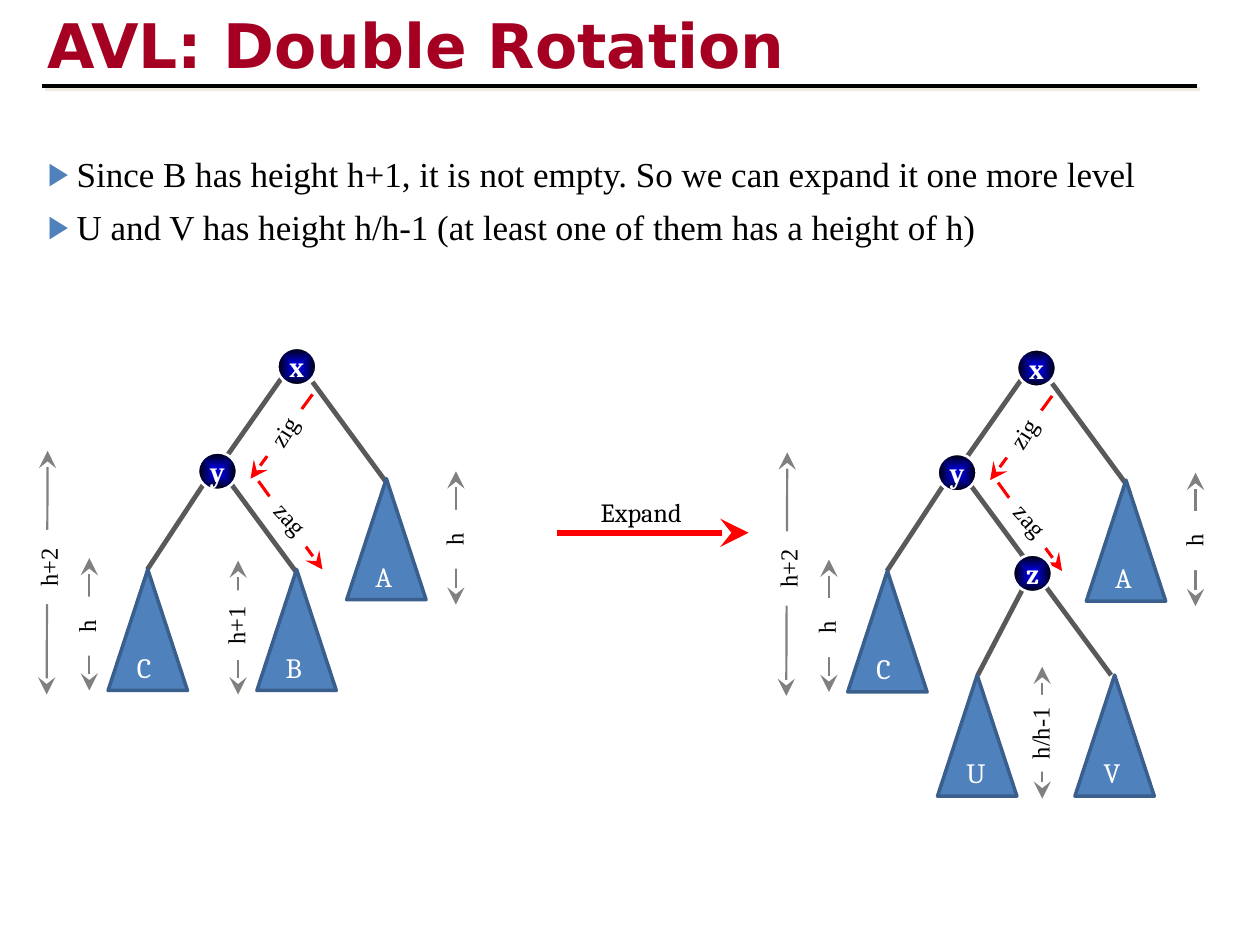
from pptx import Presentation
from pptx.dml.color import RGBColor
from pptx.enum import shapes, text
from pptx.oxml import parse_xml
from pptx.oxml.ns import nsdecls, qn
from pptx.util import Cm, Pt

TITLE = "AVL: Double Rotation"
BULLETS = [
    "Since B has height h+1, it is not empty. So we can expand it one more level",
    "U and V has height h/h-1 (at least one of them has a height of h)",
]

# All lengths are in centimetres.
NODE = (0.79, 0.76)
TRIANGLE = (1.6, 2.44)
SHIFT = (14.91, 0.03)  # from the left tree to the right tree

# edges: x1, y1, x2, y2; nodes and subtrees: name, left, top
# spans: x1, y1, x2, y2, label, label centre x, y
COMMON = {
    "edges": [(7.77, 9.7, 6.3, 7.7), (5.97, 11.53, 4.47, 9.5),
              (4.52, 9.27, 5.77, 7.49), (2.97, 11.48, 4.09, 9.78)],
    "nodes": [("x", 5.59, 7.01), ("y", 3.99, 9.12)],
    "subtrees": [("C", 2.18, 11.48), ("A", 6.99, 9.65)],
    "spans": [(9.19, 9.5, 9.19, 12.19, "h", 9.16, 10.87),
              (0.96, 9.09, 0.94, 14, "h+2", 0.98, 11.43),
              (1.8, 11.25, 1.8, 13.92, "h", 1.75, 12.62)],
    "turns": [(6.3, 7.95, 5.05, 9.65, "zig", 5.72, 8.71),
              (5.21, 9.7, 6.5, 11.48, "zag", 5.86, 10.46)],
}
LEFT_ONLY = {
    "subtrees": [("B", 5.18, 11.48)],
    "spans": [(4.8, 11.3, 4.8, 14, "h+1", 4.76, 12.6)],
}
RIGHT_ONLY = {
    "edges": [(22.4, 13.61, 20.9, 11.58), (19.71, 13.61, 20.78, 11.56)],
    "nodes": [("z", 20.42, 11.18)],
    "subtrees": [("U", 18.9, 13.61), ("V", 21.67, 13.61)],
    "spans": [(21.01, 13.44, 21.01, 16.1, "h/h-1", 20.97, 14.78)],
}
LABEL_WIDTH = {"h": 1.19, "h+2": 1.5, "h+1": 1.4, "h/h-1": 1.55,
               "zig": 1.17, "zag": 1.24}
TURN_ANGLE = {"zig": 302.7, "zag": 47.9}

SERIF = "Times New Roman"
LABEL = dict(name=SERIF, size=Pt(14))
NAME = dict(name="Cambria", size=Pt(16))

prs = Presentation()
prs.slide_width, prs.slide_height = Cm(25.4), Cm(19.05)
s = prs.slides.add_slide(prs.slide_layouts[1])


def rgb(value):
    return RGBColor.from_string(value)


def box(*lengths):
    return [Cm(v) for v in lengths]


def drop_shadow():
    return parse_xml(
        f'<a:effectLst {nsdecls("a")}><a:outerShdw dist="35921" dir="2700000">'
        '<a:srgbClr val="EEECE1"/></a:outerShdw></a:effectLst>')


def write(p, words, color="000000", align=None, **font):
    r = p.add_run()
    r.text = words
    for key, value in font.items():
        setattr(r.font, key, value)
    r.font.color.rgb = rgb(color)
    p.alignment = align
    return r


def set_frame(sp, **values):
    for key, value in values.items():
        setattr(sp.text_frame, key, value)
    return sp.text_frame.paragraphs[0]


def line(x1, y1, x2, y2, color, width, ends=(), shadow=False):
    c = s.shapes.add_connector(shapes.MSO_CONNECTOR.STRAIGHT,
                               *box(x1, y1, x2, y2))
    c.line.color.rgb = rgb(color)
    c.line.width = Pt(width)
    for end in ends:
        c.line._get_or_add_ln().append(parse_xml(
            f'<a:{end} {nsdecls("a")} type="stealth" w="lg" len="lg"/>'))
    c._element.spPr.append(
        drop_shadow() if shadow
        else parse_xml(f'<a:effectLst {nsdecls("a")}/>'))


def shape(kind, *lengths, fill, outline=None, width=0):
    sp = s.shapes.add_shape(kind, *box(*lengths))
    sp.shadow.inherit = False
    sp.fill.solid()
    sp.fill.fore_color.rgb = rgb(fill)
    if outline:
        sp.line.color.rgb = rgb(outline)
        sp.line.width = Pt(width)
    else:
        sp.line.fill.background()
    return sp


def node(name, x, y):
    sp = shape(shapes.MSO_SHAPE.OVAL, x, y, *NODE,
               fill="0000CC", outline="FFFFFF", width=1.5)
    stops = "".join(
        f'<a:gs pos="{pos}000"><a:srgbClr val="{color}"/></a:gs>'
        for pos, color in [(0, "0000CC"), (21, "0000CC"), (100, "000000")])
    solid = sp._element.spPr.find(qn("a:solidFill"))
    solid.getparent().replace(solid, parse_xml(
        f'<a:gradFill {nsdecls("a")}><a:gsLst>{stops}</a:gsLst>'
        '<a:path path="shape"><a:fillToRect l="50000" t="50000" '
        'r="50000" b="50000"/></a:path></a:gradFill>'))
    p = set_frame(sp, word_wrap=False, vertical_anchor=text.MSO_ANCHOR.MIDDLE)
    write(p, name, "FFFFFF", text.PP_ALIGN.CENTER, bold=True, **NAME)


def caption(words, *lengths, color="000000", **font):
    sp = s.shapes.add_textbox(*box(*lengths))
    write(set_frame(sp, word_wrap=True), words, color, **font)


def subtree(name, x, y):
    shape(shapes.MSO_SHAPE.ISOSCELES_TRIANGLE, x, y, *TRIANGLE,
          fill="4F81BD", outline="3A5F8C", width=2)
    caption(name, x + 0.33, y + 1.5, 1.3, 0.94, color="FFFFFF", **NAME)


def labelled_arrow(ends, words, cx, cy, color, width, heads, angle):
    """Arrow interrupted by a white label turned along it."""
    line(*ends, color, width, heads)
    w, h = LABEL_WIDTH[words], 0.86
    sp = shape(shapes.MSO_SHAPE.RECTANGLE, cx - w / 2, cy - h / 2, w, h,
               fill="FFFFFF")
    sp.rotation = angle
    p = set_frame(sp, word_wrap=False, vertical_anchor=text.MSO_ANCHOR.TOP)
    write(p, words, align=text.PP_ALIGN.CENTER, **LABEL)


def tree(parts, dx=0, dy=0):
    for x1, y1, x2, y2 in parts.get("edges", []):
        line(x1 + dx, y1 + dy, x2 + dx, y2 + dy, "595959", 2.75)
    for draw, key in [(node, "nodes"), (subtree, "subtrees")]:
        for name, x, y in parts.get(key, []):
            draw(name, x + dx, y + dy)
    for key, color, width, heads in [
            ("spans", "808080", 1.25, ("headEnd", "tailEnd")),
            ("turns", "FF0000", 1.75, ("tailEnd",))]:
        for x1, y1, x2, y2, words, cx, cy in parts.get(key, []):
            labelled_arrow((x1 + dx, y1 + dy, x2 + dx, y2 + dy), words,
                           cx + dx, cy + dy, color, width, heads,
                           TURN_ANGLE.get(words, 270))


def place(sp, *lengths):
    sp.left, sp.top, sp.width, sp.height = box(*lengths)


title, body = s.placeholders
place(title, 0.71, 0.03, 21.59, 1.7)
p = set_frame(title, word_wrap=True, auto_size=text.MSO_AUTO_SIZE.NONE,
              vertical_anchor=text.MSO_ANCHOR.MIDDLE)
r = write(p, TITLE, "A50021", text.PP_ALIGN.LEFT,
          name="DejaVu Sans", size=Pt(35.1), bold=True)
r.font._element.find(qn("a:solidFill")).addnext(drop_shadow())
line(0.84, 1.73, 24.13, 1.73, "000000", 2.25, shadow=True)

place(body, 0.71, 2.95, 23.9, 2.18)
p = set_frame(body, word_wrap=True, auto_size=text.MSO_AUTO_SIZE.NONE)
for i, words in enumerate(BULLETS):
    p = p if i == 0 else body.text_frame.add_paragraph()
    write(p, words, name=SERIF, size=Pt(20))
    p.space_before = Pt(6)
    pPr = p._p.get_or_add_pPr()
    pPr.set("marL", str(Cm(0.58)))
    pPr.set("indent", str(-Cm(0.58)))
    for bullet in ['buClr {}><a:srgbClr val="4F81BD"/></a:buClr>',
                   'buSzPct {} val="90000"/>', 'buChar {} char="▶"/>']:
        pPr.append(parse_xml("<a:" + bullet.format(nsdecls("a"))))

tree(COMMON)
tree(LEFT_ONLY)
line(11.23, 10.74, 15.09, 10.74, "FF0000", 3.25, ("tailEnd",))
caption("Expand", 11.86, 9.88, 2.64, 0.89, name="Cambria", size=Pt(15))
tree(COMMON, *SHIFT)
tree(RIGHT_ONLY)

prs.save("out.pptx")
